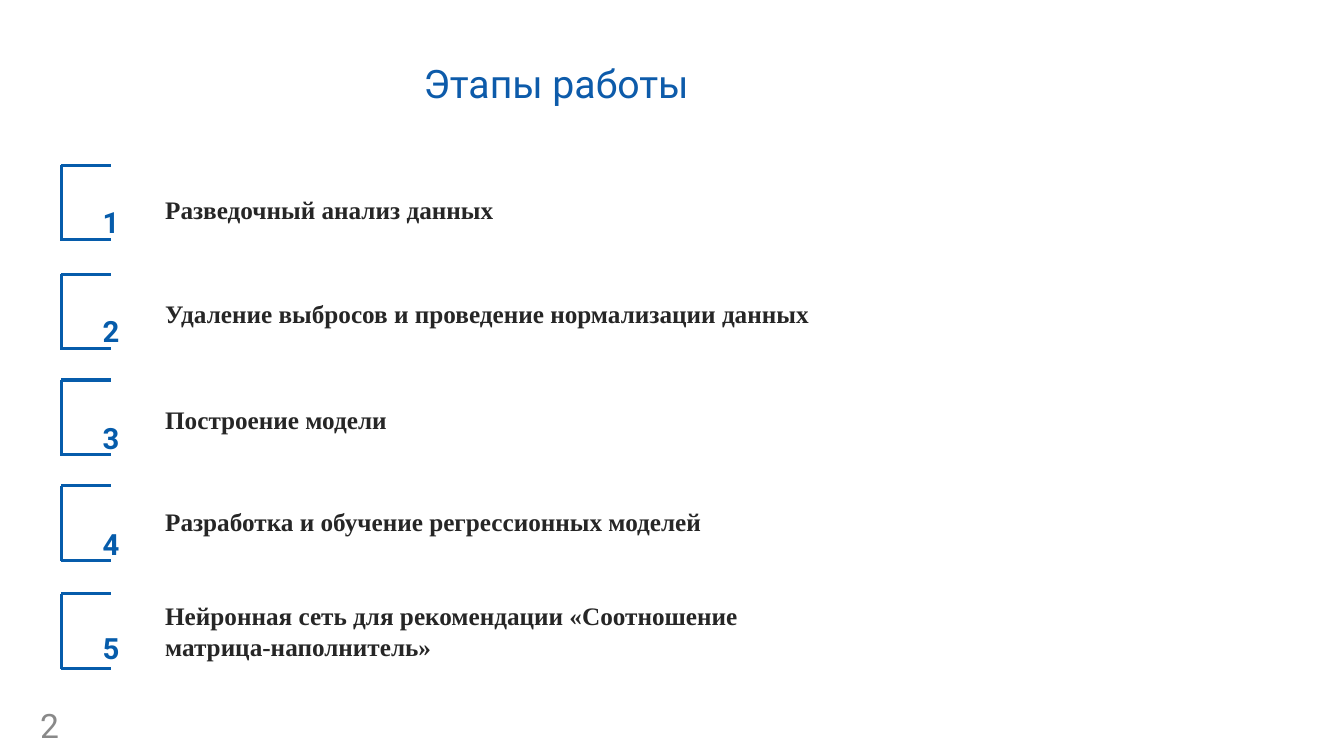
from typing import NamedTuple

from lxml import etree
from pptx import Presentation
from pptx.dml.color import RGBColor
from pptx.enum.shapes import MSO_CONNECTOR, MSO_SHAPE
from pptx.enum.text import MSO_ANCHOR, MSO_AUTO_SIZE, PP_ALIGN
from pptx.oxml.ns import qn
from pptx.shapes.autoshape import Shape
from pptx.shapes.group import GroupShape
from pptx.slide import Slide
from pptx.text.text import Font
from pptx.util import Emu, Pt

EMU_PER_PX = 9144  # 100 px to the inch
COLORS = {
    "white": "FFFFFF",
    "title": "0D5BAA",
    "accent": "065CAB",
    "stage": "262626",
    "page": "898989",
}
BRACKET_LEFT, BRACKET_RIGHT = 61, 110
BRACKET_HEIGHT, BRACKET_FOOT = 75, 74


class Box(NamedTuple):
    left: int
    top: int
    width: int
    height: int


class Style(NamedTuple):
    size: int
    face: str
    color: str
    bold: bool = False


class Stage(NamedTuple):
    text: str
    bracket_top: int
    number_top: int
    text_top: int
    text_height: int = 40


TITLE = Style(28, "Roboto", "title")
PAGE = Style(24, "Roboto", "page")
NUMBER = Style(36, "Roboto", "accent", True)
STAGE = Style(18, "Times New Roman", "stage", True)

STAGES = [
    Stage("Разведочный анализ данных", 164, 192, 188),
    Stage("Удаление выбросов и проведение нормализации данных", 272, 300, 291),
    Stage("Построение модели", 377, 406, 396),
    Stage("Разработка и обучение регрессионных моделей", 482, 511, 497),
    Stage("Нейронная сеть для рекомендации «Соотношение матрица-наполнитель»",
          589, 614, 591, 71),
]


def px(length: int) -> Emu:
    return Emu(length * EMU_PER_PX)


def rgb(name: str) -> RGBColor:
    return RGBColor.from_string(COLORS[name])


def write(shape: Shape, text: str, style: Style) -> Font:
    """Fill the shape with one styled run and return its font."""
    shape.text_frame.text = text
    font = shape.text_frame.paragraphs[0].runs[0].font
    font.size = Pt(style.size)
    font.name = style.face
    font.bold = style.bold
    font.color.rgb = rgb(style.color)
    return font


def add_label(slide: Slide, box: Box, text: str, style: Style) -> Shape:
    label = slide.shapes.add_textbox(*map(px, box))
    label.text_frame.word_wrap = True
    label.text_frame.auto_size = MSO_AUTO_SIZE.SHAPE_TO_FIT_TEXT
    write(label, text, style)
    return label


def add_title(slide: Slide, text: str) -> None:
    title = slide.shapes.add_shape(MSO_SHAPE.RECTANGLE, *map(px, Box(342, 46, 419, 73)))
    title.shadow.inherit = False
    title.fill.solid()
    title.fill.fore_color.rgb = rgb("white")
    title.line.color.rgb = rgb("white")
    title.line.width = Pt(2)
    write(title, text, TITLE)
    title.text_frame.vertical_anchor = MSO_ANCHOR.MIDDLE
    title.text_frame.paragraphs[0].alignment = PP_ALIGN.CENTER


def add_page_number(slide: Slide, number: int) -> None:
    page = add_label(slide, Box(30, 704, 62, 30), str(number), PAGE)
    page.text_frame.auto_size = MSO_AUTO_SIZE.NONE
    page.text_frame.vertical_anchor = MSO_ANCHOR.MIDDLE


def add_line(group: GroupShape, x1: int, y1: int, x2: int, y2: int) -> None:
    line = group.shapes.add_connector(MSO_CONNECTOR.STRAIGHT, *map(px, (x1, y1, x2, y2)))
    line.line.color.rgb = rgb("accent")
    line.line.width = Pt(2.25)
    etree.SubElement(line._element.spPr, qn("a:effectLst"))


def add_bracket(slide: Slide, top: int) -> None:
    bracket = slide.shapes.add_group_shape()
    add_line(bracket, BRACKET_LEFT, top, BRACKET_LEFT, top + BRACKET_HEIGHT)
    for y in (top, top + BRACKET_FOOT):
        add_line(bracket, BRACKET_LEFT, y, BRACKET_RIGHT, y)


def add_stage(slide: Slide, number: int, stage: Stage) -> None:
    add_bracket(slide, stage.bracket_top)
    add_label(slide, Box(154, stage.text_top, 680, stage.text_height), stage.text, STAGE)
    digit = add_label(slide, Box(92, stage.number_top, 118, 50), str(number), NUMBER)
    raised = digit.text_frame.paragraphs[0].runs[0]
    raised._r.get_or_add_rPr().set("baseline", "30000")


def main() -> None:
    deck = Presentation()
    deck.slide_width, deck.slide_height = px(1333), px(750)
    slide = deck.slides.add_slide(deck.slide_layouts[6])
    add_title(slide, "Этапы работы")
    add_page_number(slide, 2)
    for number, stage in enumerate(STAGES, start=1):
        add_stage(slide, number, stage)
    deck.save("out.pptx")


if __name__ == "__main__":
    main()
